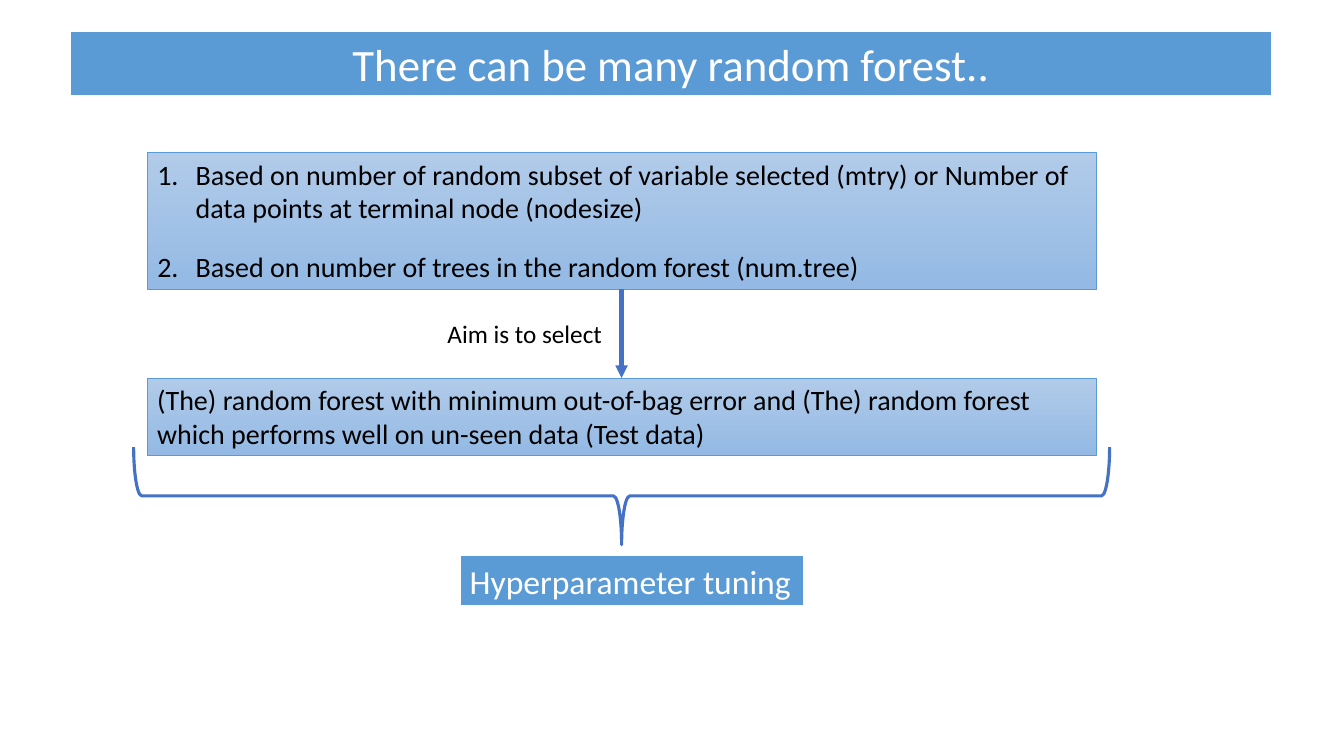
"""Build a slide on choosing a random forest by hyperparameter tuning."""
from dataclasses import dataclass

from lxml.etree import SubElement
from pptx import Presentation
from pptx.dml.color import RGBColor
from pptx.enum.shapes import MSO_CONNECTOR, MSO_SHAPE
from pptx.enum.text import MSO_ANCHOR, MSO_AUTO_SIZE, PP_ALIGN
from pptx.oxml.ns import qn
from pptx.util import Inches, Pt


@dataclass(frozen=True)
class Theme:
    """Colours, font and type sizes of the slide."""

    font: str = "Calibri"
    banner: RGBColor = RGBColor(0x5B, 0x9B, 0xD5)
    accent: RGBColor = RGBColor(0x44, 0x72, 0xC4)
    panel_top: RGBColor = RGBColor(0xB1, 0xCB, 0xE9)
    panel_bottom: RGBColor = RGBColor(0x93, 0xB9, 0xE4)
    white: RGBColor = RGBColor(0xFF, 0xFF, 0xFF)
    black: RGBColor = RGBColor(0x00, 0x00, 0x00)
    title_size: int = 32
    result_size: int = 24
    body_size: int = 20
    label_size: int = 18


theme = Theme()


def write(shape, texts, size, color, align=PP_ALIGN.LEFT, space_after=0, wrap=True):
    """Write one formatted paragraph for each text."""
    frame = shape.text_frame
    frame.word_wrap = wrap
    frame.auto_size = MSO_AUTO_SIZE.NONE
    for index, text in enumerate(texts):
        paragraph = frame.add_paragraph() if index else frame.paragraphs[0]
        paragraph.alignment = align
        paragraph.space_before = Pt(0)
        paragraph.space_after = Pt(space_after)
        run = paragraph.add_run()
        run.text = text
        run.font.name = theme.font
        run.font.size = Pt(size)
        run.font.color.rgb = color


presentation = Presentation()
presentation.slide_width = Inches(13.33)
presentation.slide_height = Inches(7.5)
slide = presentation.slides.add_slide(presentation.slide_layouts[1])
shapes = slide.shapes

title = shapes.title
title.left, title.top = Inches(0.69), Inches(0.31)
title.width, title.height = Inches(11.93), Inches(0.64)
write(title, ["There can be many random forest.."], theme.title_size, theme.white, PP_ALIGN.CENTER)

criteria = slide.placeholders[1]
criteria.left, criteria.top = Inches(1.46), Inches(1.51)
criteria.width, criteria.height = Inches(9.41), Inches(1.36)
criteria.text_frame.vertical_anchor = MSO_ANCHOR.TOP
write(
    criteria,
    [
        "Based on number of random subset of variable selected (mtry) or Number of data points at terminal node (nodesize)",
        "Based on number of trees in the random forest (num.tree)",
    ],
    theme.body_size,
    theme.black,
    space_after=18,
)
for paragraph in criteria.text_frame.paragraphs:
    properties = paragraph._p.get_or_add_pPr()
    properties.set("marL", str(Inches(0.38)))
    properties.set("indent", str(-Inches(0.38)))
    SubElement(properties, qn("a:buFont"), typeface="+mj-lt")
    SubElement(properties, qn("a:buAutoNum"), type="arabicPeriod")

goal = shapes.add_shape(MSO_SHAPE.RECTANGLE, criteria.left, Inches(3.75), criteria.width, Inches(0.77))
goal.text_frame.vertical_anchor = MSO_ANCHOR.TOP
write(
    goal,
    ["(The) random forest with minimum out-of-bag error and (The) random forest which performs well on un-seen data (Test data)"],
    theme.body_size,
    theme.black,
    space_after=18,
)

for panel in (criteria, goal):
    panel.shadow.inherit = False
    panel.fill.gradient()
    panel.fill.gradient_angle = 270
    for stop, color in zip(panel.fill.gradient_stops, (theme.panel_top, theme.panel_bottom)):
        stop.color.rgb = color
    panel.line.color.rgb = theme.banner
    panel.line.width = Pt(0.5)

arrow = shapes.add_connector(MSO_CONNECTOR.STRAIGHT, Inches(6.17), Inches(2.87), Inches(6.17), Inches(3.75))
arrow.begin_connect(criteria, 2)
arrow.end_connect(goal, 0)
arrow.line.color.rgb = theme.accent
arrow.line.width = Pt(3)
SubElement(arrow.line._get_or_add_ln(), qn("a:tailEnd"), type="triangle")
SubElement(arrow._element.spPr, qn("a:effectLst"))

label = shapes.add_textbox(Inches(4.34), Inches(3.11), Inches(6.67), Inches(0.4))
write(label, ["Aim is to select"], theme.label_size, theme.black)

brace = shapes.add_shape(MSO_SHAPE.RIGHT_BRACE, Inches(5.68), Inches(0.08), Inches(0.97), Inches(9.68))
brace.rotation = 90
brace.shadow.inherit = False
brace.fill.background()
brace.line.color.rgb = theme.accent
brace.line.width = Pt(2.25)

result = shapes.add_shape(MSO_SHAPE.RECTANGLE, Inches(4.56), Inches(5.51), Inches(3.42), Inches(0.5))
write(result, ["Hyperparameter tuning"], theme.result_size, theme.white, wrap=False)

for banner in (title, result):
    banner.shadow.inherit = False
    banner.fill.solid()
    banner.fill.fore_color.rgb = theme.banner
    banner.line.color.rgb = theme.white
    banner.line.width = Pt(1.5)

presentation.save("out.pptx")
